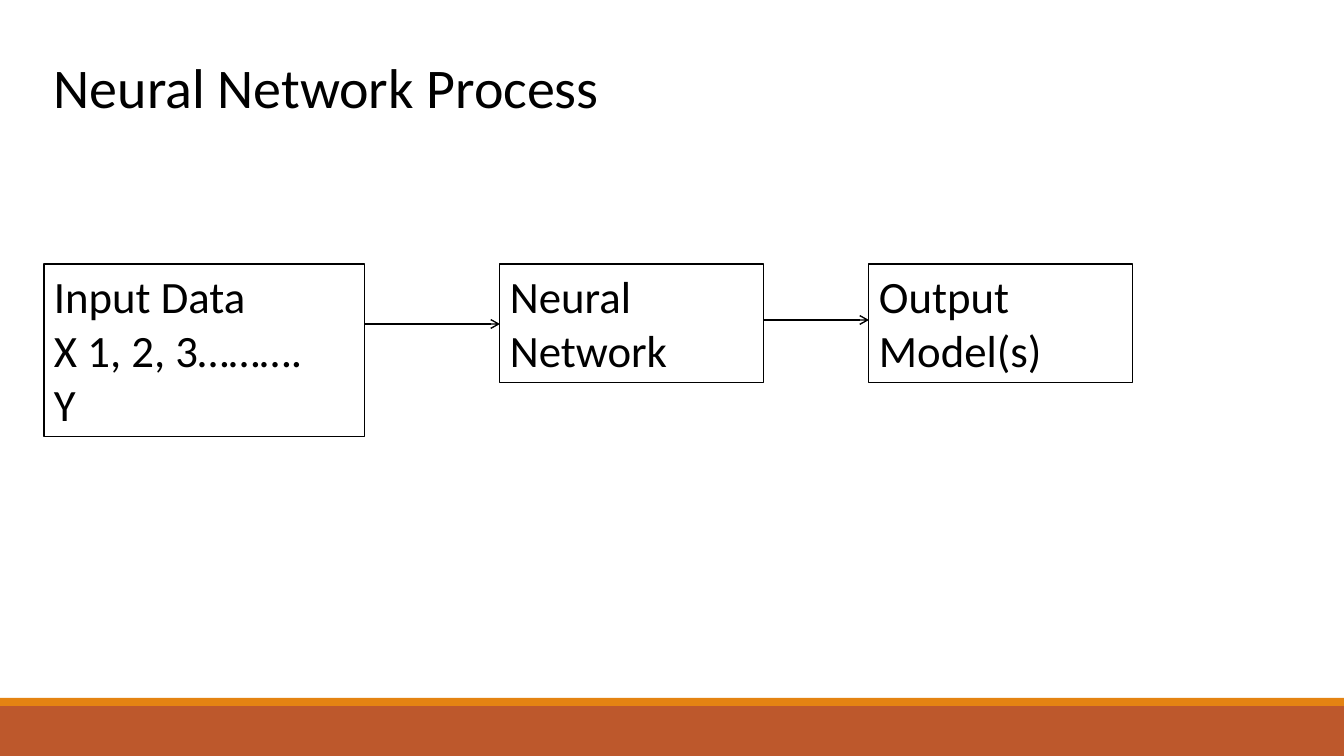
from lxml import etree
from pptx import Presentation, util as u
from pptx.dml.color import RGBColor
from pptx.enum import shapes, text
from pptx.oxml.ns import qn

SCALE = 914400 / 100.8
COLORS = {"ink": "000000", "footer": "BD582C", "stripe": "E48312"}
FONT = "Calibri"


def px(length):
    """Turn whole pixels into EMU."""
    return u.Emu(round(length * SCALE))


def color(name):
    """Look up a named colour."""
    return RGBColor.from_string(COLORS[name])


def add_band(page, top, height, fill):
    """Draw a filled band across the full width."""
    band = page.shapes.add_shape(
        shapes.MSO_SHAPE.RECTANGLE, 0, px(top), px(1344), px(height))
    band.shadow.inherit = False
    band.fill.solid()
    band.fill.fore_color.rgb = color(fill)
    band.line.fill.background()


def add_text(page, place, lines, size, outlined=False):
    """Add a text box with one paragraph per line and an optional outline."""
    box = page.shapes.add_textbox(*map(px, place))
    frame = box.text_frame
    frame.word_wrap = True
    frame.auto_size = text.MSO_AUTO_SIZE.SHAPE_TO_FIT_TEXT
    for index, line in enumerate(lines):
        para = frame.paragraphs[0] if index == 0 else frame.add_paragraph()
        span = para.add_run()
        span.text = line
        span.font.name = FONT
        span.font.size = u.Pt(size)
        span.font.color.rgb = color("ink")
    if outlined:
        box.line.color.rgb = color("ink")
        box.line.width = u.Pt(0.75)
    return box


def add_arrow(page, source, target, y):
    """Draw a horizontal arrow from the source box to the target box."""
    arrow = page.shapes.add_connector(
        shapes.MSO_CONNECTOR.STRAIGHT,
        source.left + source.width, px(y), target.left, px(y))
    arrow.line.color.rgb = color("ink")
    arrow.line.width = u.Pt(1)
    etree.SubElement(arrow.line._get_or_add_ln(), qn("a:tailEnd"), type="arrow")
    etree.SubElement(arrow._element.spPr, qn("a:effectLst"))


def main():
    """Build the neural network process slide."""
    deck = Presentation()
    deck.slide_width, deck.slide_height = px(1344), px(756)
    page = deck.slides.add_slide(deck.slide_layouts[6])

    add_band(page, 706, 50, "footer")
    add_band(page, 698, 8, "stripe")
    add_text(page, (44, 48, 1090, 78), ["Neural Network Process"], 40)

    stages = [
        ((44, 264, 321, 173), ["Input Data", "X 1, 2, 3……….", "Y"]),
        ((500, 264, 264, 119), ["Neural Network"]),
        ((869, 264, 264, 119), ["Output", "Model(s)"]),
    ]
    boxes = [add_text(page, place, lines, 32, outlined=True)
             for place, lines in stages]
    for source, target, y in zip(boxes, boxes[1:], (324, 320)):
        add_arrow(page, source, target, y)

    deck.save("out.pptx")


main()
